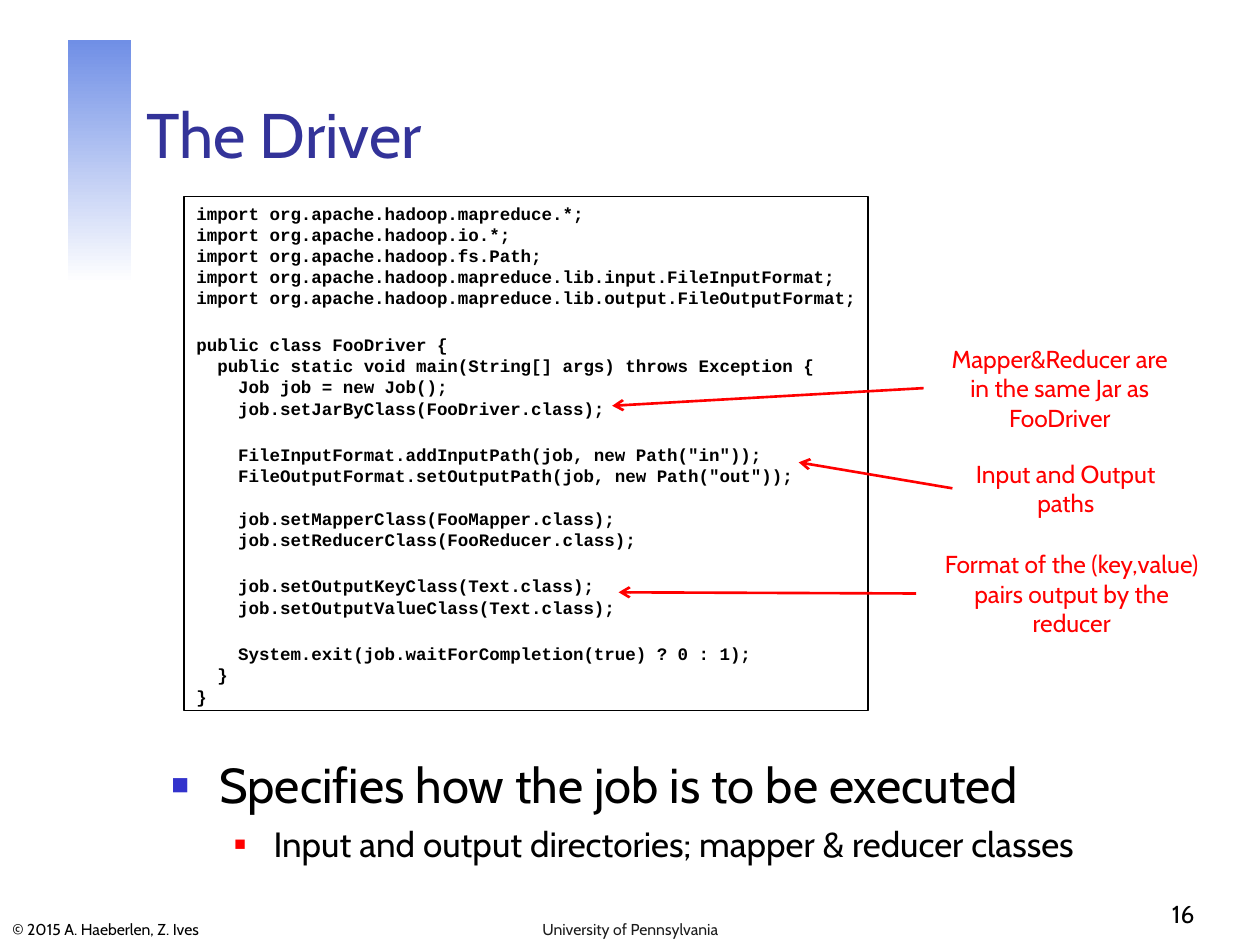
from copy import deepcopy
from dataclasses import dataclass

from lxml.etree import SubElement
from pptx import Presentation
from pptx.dml.color import RGBColor as RGB
from pptx.enum.shapes import MSO_CONNECTOR as Link, MSO_SHAPE as Preset
from pptx.enum.text import MSO_ANCHOR as Anchor, MSO_AUTO_SIZE as Fit, PP_ALIGN as Align
from pptx.oxml.ns import qn
from pptx.util import Cm, Pt


@dataclass(frozen=True)
class Theme:
    sans: str = "Cabin"
    mono: str = "Courier New"
    ink: RGB = RGB(0x00, 0x00, 0x00)
    footer_ink: RGB = RGB(0x1C, 0x1C, 0x1C)
    heading: RGB = RGB(0x33, 0x33, 0x99)
    accent: RGB = RGB(0xFF, 0x00, 0x00)
    marker: RGB = RGB(0x33, 0x33, 0xCC)
    band: RGB = RGB(0x70, 0x8F, 0xE6)
    paper: RGB = RGB(0xFF, 0xFF, 0xFF)
    title_size: int = 36
    point_size: int = 28
    subpoint_size: int = 20
    label_size: int = 14
    code_size: int = 10
    footer_size: int = 9


def write(paragraph, text, *, size, color, font, bold=False,
          align=Align.LEFT, before=0, leading=None):
    """Fill a paragraph; line breaks take the format of the text."""
    paragraph.text = text
    paragraph.alignment = align
    paragraph.space_before = Pt(before)
    if leading:
        paragraph.line_spacing = Pt(leading)
    for run in paragraph.runs:
        run.font.size, run.font.name, run.font.bold = Pt(size), font, bold
        run.font.color.rgb = color
    for line_break in paragraph._p.findall(qn("a:br")):
        line_break.append(deepcopy(paragraph.runs[0]._r.rPr))


def place(shape, box):
    shape.left, shape.top, shape.width, shape.height = (Cm(v) for v in box)


def add_bullet(paragraph, margin, hang, color, percent):
    props = paragraph._p.get_or_add_pPr()
    props.set("marL", str(Cm(margin)))
    props.set("indent", str(-Cm(hang)))
    SubElement(SubElement(props, qn("a:buClr")), qn("a:srgbClr"), val=str(color))
    SubElement(props, qn("a:buSzPct"), val=str(percent * 1000))
    SubElement(props, qn("a:buFont"), typeface="Arial")
    SubElement(props, qn("a:buChar"), char="■")


class SlideBuilder:
    def __init__(self, slide, theme):
        self.slide, self.theme = slide, theme

    def band(self, box):
        band = self.slide.shapes.add_shape(Preset.RECTANGLE, *(Cm(v) for v in box))
        band.shadow.inherit = False
        band.line.fill.background()
        band.fill.gradient()
        band.fill.gradient_angle = 270
        for stop, color, position in zip(band.fill.gradient_stops,
                                         (self.theme.band, self.theme.paper), (0, 1)):
            stop.color.rgb, stop.position = color, position

    def title(self, text, box):
        heading = self.slide.shapes.title
        place(heading, box)
        frame = heading.text_frame
        frame.auto_size, frame.vertical_anchor = Fit.NONE, Anchor.BOTTOM
        write(frame.paragraphs[0], text, size=self.theme.title_size,
              color=self.theme.heading, font=self.theme.sans)

    def points(self, point, subpoint, box):
        body = self.slide.placeholders[1]
        place(body, box)
        frame, theme = body.text_frame, self.theme
        frame.auto_size = Fit.NONE
        main, detail = frame.paragraphs[0], frame.add_paragraph()
        detail.level = 1
        write(main, point, size=theme.point_size, color=theme.ink, font=theme.sans)
        write(detail, subpoint, size=theme.subpoint_size, color=theme.ink,
              font=theme.sans, before=5)
        add_bullet(main, 0.97, 0.97, theme.marker, 60)
        add_bullet(detail, 2.06, 0.79, theme.accent, 55)

    def text(self, text, box, *, anchor=Anchor.TOP, wrap=True, **style):
        caption = self.slide.shapes.add_textbox(*(Cm(v) for v in box))
        frame = caption.text_frame
        frame.word_wrap, frame.vertical_anchor = wrap, anchor
        write(frame.paragraphs[0], text, font=self.theme.sans, **style)
        return caption

    def code(self, blocks, box):
        listing = self.slide.shapes.add_shape(Preset.RECTANGLE, *(Cm(v) for v in box))
        listing.shadow.inherit = False
        listing.fill.background()
        listing.line.color.rgb, listing.line.width = self.theme.ink, Pt(0.75)
        frame = listing.text_frame
        frame.word_wrap, frame.vertical_anchor = False, Anchor.TOP
        for index, block in enumerate(blocks):
            paragraph = frame.add_paragraph() if index else frame.paragraphs[0]
            write(paragraph, block, size=self.theme.code_size, color=self.theme.ink,
                  font=self.theme.mono, bold=True, leading=12.1,
                  before=14.5 if index else 0)

    def callout(self, text, box, target):
        label = self.text(text, box, wrap=False, align=Align.CENTER,
                          size=self.theme.label_size, color=self.theme.accent)
        tip_x, tip_y = (Cm(v) for v in target)
        arrow = self.slide.shapes.add_connector(
            Link.STRAIGHT, label.left, label.top, tip_x, tip_y)
        arrow.begin_connect(label, 1)
        arrow.line.color.rgb, arrow.line.width = self.theme.accent, Pt(1.5)
        SubElement(arrow.line._get_or_add_ln(), qn("a:tailEnd"), type="arrow")
        SubElement(arrow._element.spPr, qn("a:effectLst"))


CODE_BLOCKS = [
    """import org.apache.hadoop.mapreduce.*;
import org.apache.hadoop.io.*;
import org.apache.hadoop.fs.Path;
import org.apache.hadoop.mapreduce.lib.input.FileInputFormat;
import org.apache.hadoop.mapreduce.lib.output.FileOutputFormat;""",
    """public class FooDriver {
  public static void main(String[] args) throws Exception {
    Job job = new Job();
    job.setJarByClass(FooDriver.class);""",
    """    FileInputFormat.addInputPath(job, new Path("in"));
    FileOutputFormat.setOutputPath(job, new Path("out"));

    job.setMapperClass(FooMapper.class);
    job.setReducerClass(FooReducer.class);""",
    """    job.setOutputKeyClass(Text.class);
    job.setOutputValueClass(Text.class);""",
    """    System.exit(job.waitForCompletion(true) ? 0 : 1);
  }
}""",
]

# Label text, label box, arrow tip
CALLOUTS = [
    ("Mapper&Reducer are\nin the same Jar as\nFooDriver",
     (18.62, 6.81, 5.49, 2.03), (12.34, 8.18)),
    ("Input and Output\npaths", (19.2, 9.12, 4.57, 1.45), (16.1, 9.32)),
    ("Format of the (key,value)\npairs output by the\nreducer",
     (18.47, 10.95, 6.27, 2.03), (12.47, 11.94)),
]


def main():
    deck = Presentation()
    deck.slide_width, deck.slide_height = Cm(25.4), Cm(19.05)
    theme = Theme()
    driver = SlideBuilder(deck.slides.add_slide(deck.slide_layouts[1]), theme)

    # Heading
    driver.band((1.37, 0.81, 1.27, 4.9))
    driver.title("The Driver", (2.69, 0.84, 21.64, 2.74))

    # Footer
    driver.text("© 2015 A. Haeberlen, Z. Ives", (0, 18.34, 4.93, 0.71),
                anchor=Anchor.BOTTOM, size=theme.footer_size, color=theme.ink)
    driver.text("University of Pennsylvania", (8.69, 18.34, 8.03, 0.71),
                anchor=Anchor.BOTTOM, align=Align.CENTER,
                size=theme.footer_size, color=theme.footer_ink)
    driver.text("16", (19.05, 17.58, 5.28, 1.27), anchor=Anchor.BOTTOM,
                align=Align.RIGHT, size=theme.label_size, color=theme.ink)

    # Code listing with its callouts
    driver.code(CODE_BLOCKS, (3.71, 3.96, 13.79, 10.36))
    for text, box, target in CALLOUTS:
        driver.callout(text, box, target)

    # Summary
    driver.points("Specifies how the job is to be executed",
                  "Input and output directories; mapper & reducer classes",
                  (3.2, 15.09, 21.16, 2.49))

    deck.save("out.pptx")


if __name__ == "__main__":
    main()
